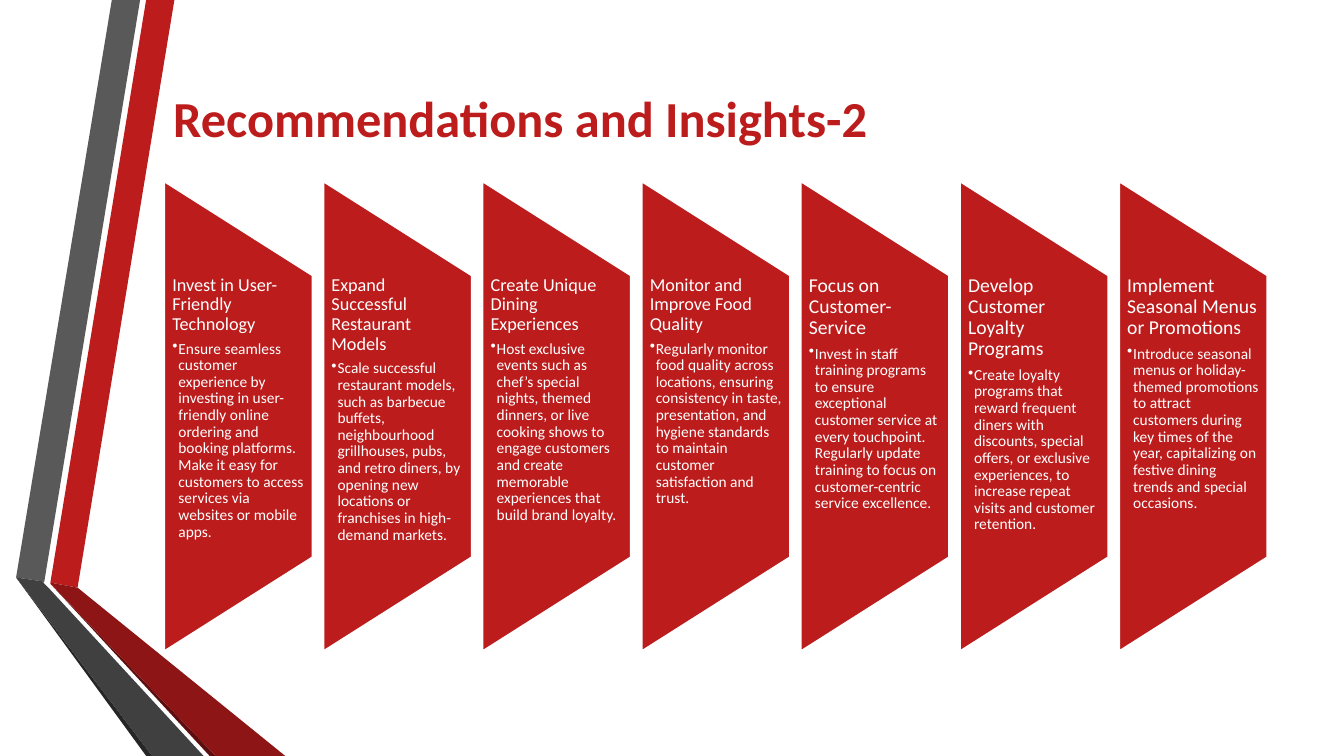
from lxml import etree
from pptx import Presentation
from pptx import util as u
from pptx.dml.color import RGBColor
from pptx.enum import shapes, text

RED, WHITE, FONT = "BC1C1C", "FFFFFF", "Calibri"
SLIDE_W, SLIDE_H = 13.33, 7.5
TITLE = "Recommendations and Insights-2"

RIBBONS = [
    (RED, [(0.5, 5.78), (0.77, 5.83), (1.73, 0), (1.45, 0)]),
    ("595959", [(1.39, 0), (1.11, 0), (0.16, 5.73), (0.44, 5.77)]),
    ("262626", [(0.16, 5.73), (1.45, 7.5), (1.51, 7.5)]),
    ("5E0E0E", [(0.5, 5.79), (2.08, 7.5), (2.14, 7.5)]),
    ("8D1515", [(0.5, 5.79), (2.14, 7.5), (2.83, 7.5), (0.77, 5.83), (0.5, 5.78)]),
    ("404040", [(2.02, 7.5), (0.48, 5.83), (0.43, 5.78), (0.44, 5.77), (0.16, 5.73), (1.51, 7.5)]),
]

RECOMMENDATIONS = [
    ("Invest in User-Friendly Technology", 13,
     "Ensure seamless customer experience by investing in user-friendly online ordering and booking "
     "platforms. Make it easy for customers to access services via websites or mobile apps."),
    ("Expand Successful Restaurant Models", 13,
     "Scale successful restaurant models, such as barbecue buffets, neighbourhood grillhouses, pubs, "
     "and retro diners, by opening new locations or franchises in high-demand markets."),
    ("Create Unique Dining Experiences", 13,
     "Host exclusive events such as chef’s special nights, themed dinners, or live cooking shows to "
     "engage customers and create memorable experiences that build brand loyalty."),
    ("Monitor and Improve Food Quality", 13,
     "Regularly monitor food quality across locations, ensuring consistency in taste, presentation, "
     "and hygiene standards to maintain customer satisfaction and trust."),
    ("Focus on Customer-Service", 14,
     "Invest in staff training programs to ensure exceptional customer service at every touchpoint. "
     "Regularly update training to focus on customer-centric service excellence."),
    ("Develop Customer Loyalty Programs", 14,
     "Create loyalty programs that reward frequent diners with discounts, special offers, or exclusive "
     "experiences, to increase repeat visits and customer retention."),
    ("Implement Seasonal Menus or Promotions", 14,
     "Introduce seasonal menus or holiday-themed promotions to attract customers during key times of "
     "the year, capitalizing on festive dining trends and special occasions."),
]

GRID_LEFT, GRID_RIGHT = 1.63, 12.57
PANEL_W, PANEL_H, PANEL_MIDDLE = 1.47, 4.66, 4.13
COPY_H = PANEL_H * 0.6
PITCH = (GRID_RIGHT - GRID_LEFT - PANEL_W) / (len(RECOMMENDATIONS) - 1)


def rgb(color):
    """Turn a hex string into a colour."""
    return RGBColor.from_string(color)


def paint(shape, color, outline=None):
    """Give a shape a flat fill and an optional outline."""
    shape.shadow.inherit = False
    shape.fill.solid()
    shape.fill.fore_color.rgb = rgb(color)
    if outline:
        shape.line.color.rgb = rgb(outline)
        shape.line.width = u.Pt(1.25)
    else:
        shape.line.fill.background()


def write(paragraph, words, size=11, color=WHITE, bold=False, spacing=1.0, after=0, bullet=None):
    """Write one formatted paragraph."""
    paragraph.line_spacing = spacing
    paragraph.space_after = u.Pt(after)
    if bullet:
        paragraph.level = 1
        properties = paragraph._p.get_or_add_pPr()
        properties.set("marL", str(u.Inches(0.06)))
        properties.set("indent", str(-u.Inches(0.06)))
        namespace = properties.nsmap["a"]
        etree.SubElement(properties, f"{{{namespace}}}buChar", char=bullet)
    run = paragraph.add_run()
    run.text = words
    run.font.name, run.font.size, run.font.bold = FONT, u.Pt(size), bold
    run.font.color.rgb = rgb(color)


def add_frame(slide, left, top, width, height, inset=(0.1, 0.05)):
    """Add a wrapping text box and return its text frame."""
    frame = slide.shapes.add_textbox(*map(u.Inches, (left, top, width, height))).text_frame
    frame.word_wrap = True
    frame.margin_left = frame.margin_right = u.Inches(inset[0])
    frame.margin_top = frame.margin_bottom = u.Inches(inset[1])
    return frame


def add_ribbon(slide, color, corners):
    """Draw one folded ribbon segment from its corners."""
    start, *others = [(round(x * 100), round(y * 100)) for x, y in corners]
    outline = slide.shapes.build_freeform(*start, scale=u.Inches(1) / 100)
    outline.add_line_segments(others, close=True)
    paint(outline.convert_to_shape(), color)


def add_recommendation(slide, column, heading, heading_size, advice):
    """Draw one panel with its heading and advice."""
    left = GRID_LEFT + column * PITCH
    turned_left = left + (PANEL_W - PANEL_H) / 2
    panel = slide.shapes.add_shape(
        shapes.MSO_SHAPE.FLOWCHART_MANUAL_OPERATION,
        *map(u.Inches, (turned_left, PANEL_MIDDLE - PANEL_W / 2, PANEL_H, PANEL_W)))
    panel.rotation = 270
    paint(panel, RED, WHITE)
    frame = add_frame(slide, left, PANEL_MIDDLE - COPY_H / 2, PANEL_W, COPY_H, (0.08, 0))
    write(frame.paragraphs[0], heading, size=heading_size, spacing=0.9, after=heading_size * 0.35)
    write(frame.add_paragraph(), advice, spacing=0.9, after=1.65, bullet="•")


def main():
    """Build and save the slide."""
    deck = Presentation()
    deck.slide_width, deck.slide_height = u.Inches(SLIDE_W), u.Inches(SLIDE_H)
    slide = deck.slides.add_slide(deck.slide_layouts[6])
    for color, corners in RIBBONS:
        add_ribbon(slide, color, corners)
    title = add_frame(slide, 1.62, 0.82, 10.96, 0.69)
    title.vertical_anchor = text.MSO_ANCHOR.MIDDLE
    write(title.paragraphs[0], TITLE, size=36, color=RED, bold=True)
    for column, recommendation in enumerate(RECOMMENDATIONS):
        add_recommendation(slide, column, *recommendation)
    deck.save("out.pptx")


if __name__ == "__main__":
    main()
